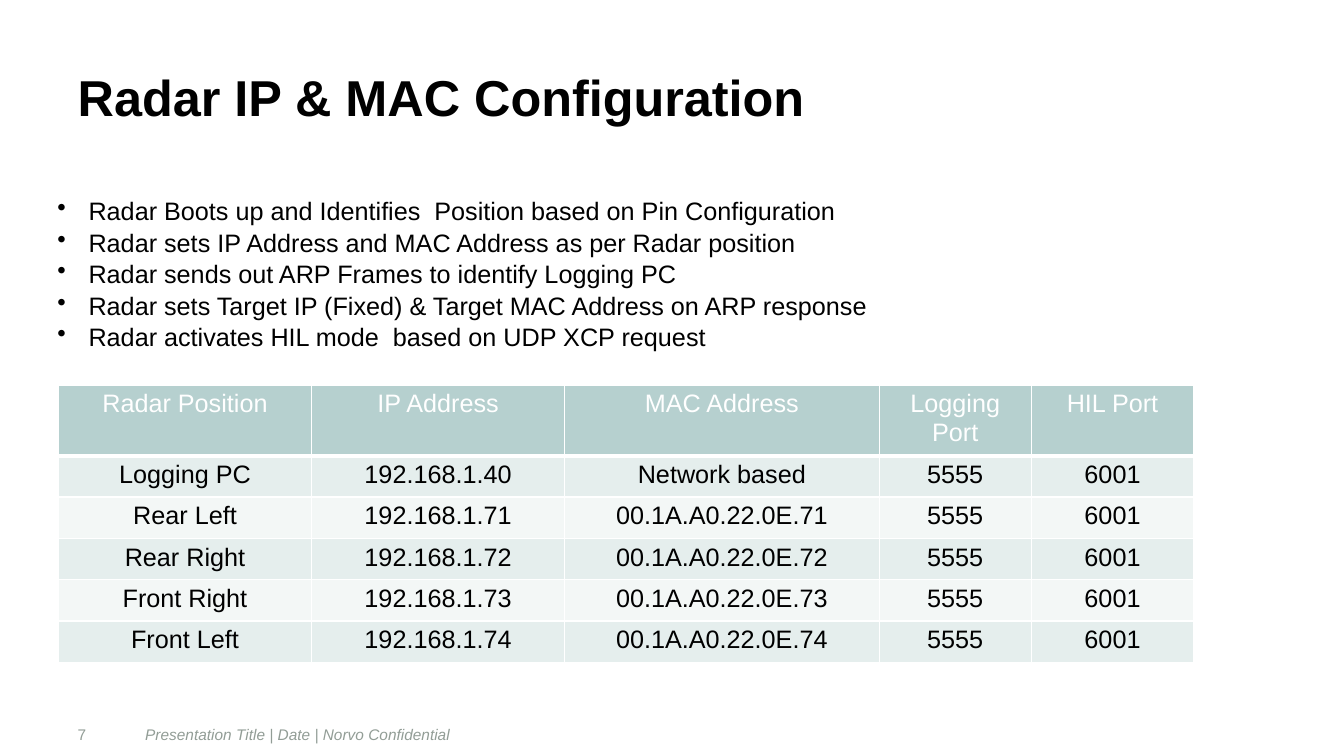
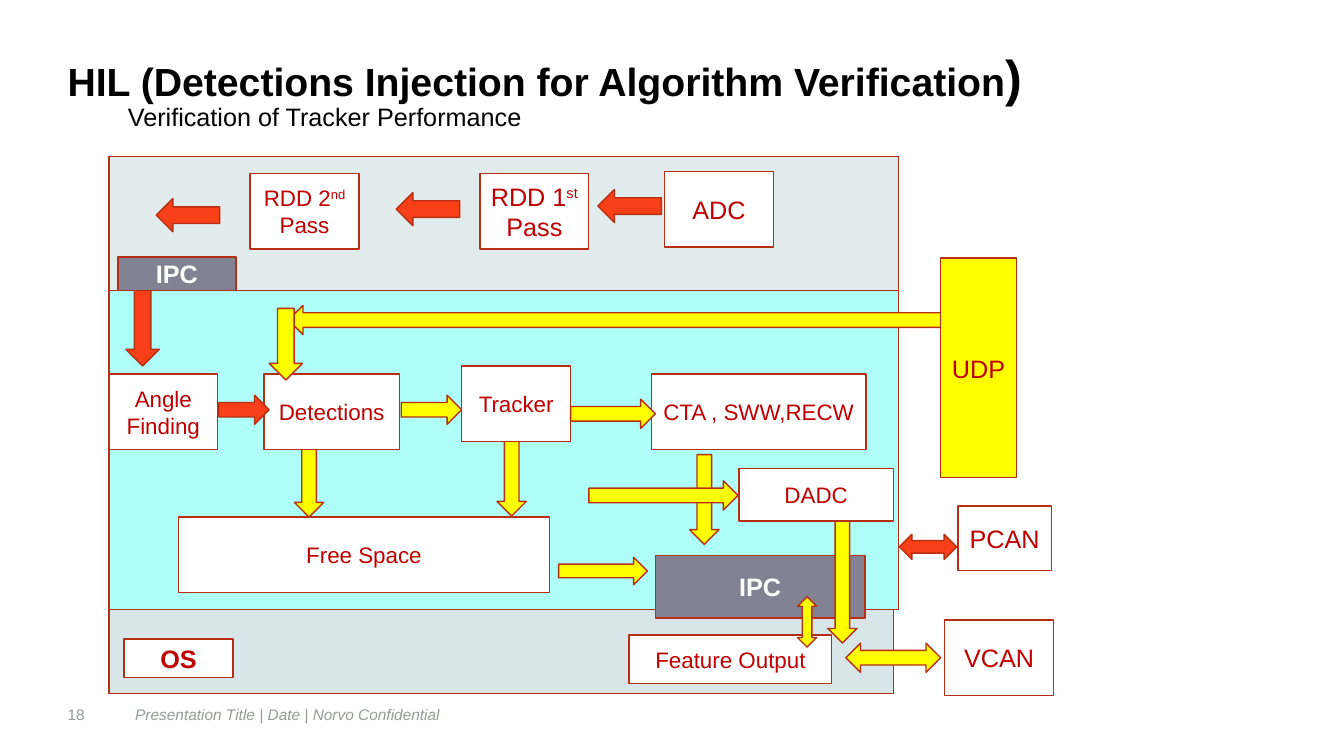
import pptx
import pptx.dml.color
import pptx.enum.shapes
import pptx.enum.text
import pptx.oxml
import pptx.oxml.ns
import pptx.util

SCALE = 9144
FONT = "Arial"
BLACK, WHITE, GREY = "000000", "FFFFFF", "929D96"
OUTLINE, LABEL = "B72F12", "C00000"
YELLOW, RED, SLATE = "FFFF00", "F74018", "828293"
HEADER_FILL, ROW_FILLS = "B6D0CF", ("E5EEED", "F3F7F6")
SHAPE = pptx.enum.shapes.MSO_SHAPE
ALIGN = pptx.enum.text.PP_ALIGN
ANCHOR = pptx.enum.text.MSO_ANCHOR


def px(*lengths):
    """Turn whole px into a list of EMU lengths."""
    return [pptx.util.Emu(length * SCALE) for length in lengths]


def colour(value):
    """Turn a hex string into a colour."""
    return pptx.dml.color.RGBColor.from_string(value)


def style(font, size, hue, bold=False, italic=False):
    """Format a font."""
    font.name, font.size = FONT, pptx.util.Pt(size)
    font.bold, font.italic = bold, italic
    font.color.rgb = colour(hue)


def set_margins(frame, left=0, top=0, right=0, bottom=0):
    """Set the four insets of a text frame."""
    frame.margin_left, frame.margin_top, frame.margin_right, frame.margin_bottom = px(left, top, right, bottom)


def add_text(page, area, text, size, hue, italic=False):
    """Add a wrapped text box with one or more paragraphs."""
    box = page.shapes.add_textbox(*px(*area))
    frame = box.text_frame
    frame.word_wrap = True
    frame.text = text
    for para in frame.paragraphs:
        for span in para.runs:
            style(span.font, size, hue, italic=italic)
    return box


def add_frame(deck, left, top, title_parts, number):
    """Add a slide with its title and footer hung from one corner."""
    page = deck.slides.add_slide(deck.slide_layouts[5])
    title = page.shapes.title
    title.left, title.top, title.width, title.height = px(left, top, 1200, 101)
    frame = title.text_frame
    set_margins(frame, top=4)
    frame.word_wrap = True
    frame.vertical_anchor = ANCHOR.TOP
    frame.auto_size = pptx.enum.text.MSO_AUTO_SIZE.NONE
    para = frame.paragraphs[0]
    para.alignment = ALIGN.LEFT
    for text, size in title_parts:
        span = para.add_run()
        span.text = text
        style(span.font, size, BLACK, bold=True)
    footers = (
        (67, 382, "Presentation Title | Date | Norvo Confidential", True),
        (0, 68, number, False),
    )
    for offset, width, text, italic in footers:
        box = add_text(page, (left + offset, top + 650, width, 33), text, 11, GREY, italic)
        set_margins(box.text_frame)
        box.text_frame.vertical_anchor = ANCHOR.MIDDLE
    return page


def add_bullets(page, area, lines):
    """Add a bulleted list."""
    box = add_text(page, area, "\n".join(lines), 18, BLACK)
    for para in box.text_frame.paragraphs:
        para.line_spacing = 1.04
        properties = para._p.get_or_add_pPr()
        properties.set("marL", str(31 * SCALE))
        properties.set("indent", str(-31 * SCALE))
        bullet = pptx.oxml.parse_xml(
            f'<a:buChar {pptx.oxml.ns.nsdecls("a")} char="•"/>')
        properties.append(bullet)


def add_borders(cell, bottom):
    """Draw white borders round a cell."""
    properties = cell._tc.get_or_add_tcPr()
    sides = (("L", 1), ("R", 1), ("T", 1), ("B", bottom))
    for place, (side, points) in enumerate(sides):
        properties.insert(place, pptx.oxml.parse_xml(
            f'<a:ln{side} {pptx.oxml.ns.nsdecls("a")} w="{points * 12700}">'
            f'<a:solidFill><a:srgbClr val="{WHITE}"/></a:solidFill></a:ln{side}>'))


def add_address_table(page, left, top, widths, rows):
    """Add the banded address table."""
    heights = [65] + [41] * (len(rows) - 1)
    area = px(left, top, sum(widths), sum(heights))
    table = page.shapes.add_table(len(rows), len(widths), *area).table
    for column, width in zip(table.columns, px(*widths)):
        column.width = width
    for index, (row, height, texts) in enumerate(zip(table.rows, px(*heights), rows)):
        row.height = height
        header = index == 0
        for cell, text in zip(row.cells, texts):
            cell.text = text
            para = cell.text_frame.paragraphs[0]
            para.alignment = ALIGN.CENTER
            style(para.runs[0].font, 18, WHITE if header else BLACK)
            cell.fill.solid()
            cell.fill.fore_color.rgb = colour(HEADER_FILL if header else ROW_FILLS[(index - 1) % 2])
            add_borders(cell, 3 if header else 1)


def add_outlined(page, kind, area, fill):
    """Add a filled preset shape with the shared outline."""
    shape = page.shapes.add_shape(kind, *px(*area))
    shape.shadow.inherit = False
    shape.fill.solid()
    shape.fill.fore_color.rgb = colour(fill)
    shape.line.color.rgb = colour(OUTLINE)
    shape.line.width = pptx.util.Pt(1)
    return shape


def add_block(page, area, label, size, fill=WHITE, hue=LABEL, bold=False):
    """Add a labelled block; text between carets is raised."""
    frame = add_outlined(page, SHAPE.RECTANGLE, area, fill).text_frame
    frame.word_wrap = True
    frame.vertical_anchor = ANCHOR.MIDDLE
    para = frame.paragraphs[0]
    para.alignment = ALIGN.CENTER
    for index, text in enumerate(label.split("^")):
        span = para.add_run()
        span.text = text
        style(span.font, size, hue, bold)
        if index % 2:
            span.font._element.set("baseline", "30000")


def add_region(page, left, top, parts):
    """Place blocks and arrows relative to a region's corner."""
    for part, (x, y, width, height), *details in parts:
        area = (left + x, top + y, width, height)
        if isinstance(part, str):
            add_block(page, area, part, *details)
        else:
            add_outlined(page, part, area, *details)


def build_configuration(deck):
    """Build the address configuration slide."""
    page = add_frame(deck, 77, 62, [("Radar IP & MAC Configuration", 36)], "7")
    rows = [
        ("Radar Position", "IP Address", "MAC Address", "Logging Port", "HIL Port"),
        ("Logging PC", "192.168.1.40", "Network based", "5555", "6001"),
    ]
    for number, position in enumerate(("Rear Left", "Rear Right", "Front Right", "Front Left"), 71):
        rows.append((position, f"192.168.1.{number}", f"00.1A.A0.22.0E.{number}", "5555", "6001"))
    add_address_table(page, 58, 382, (251, 251, 312, 151, 161), rows)
    add_bullets(page, (47, 188, 838, 162), (
        "Radar Boots up and Identifies  Position based on Pin Configuration",
        "Radar sets IP Address and MAC Address as per Radar position",
        "Radar sends out ARP Frames to identify Logging PC",
        "Radar sets Target IP (Fixed) & Target MAC Address on ARP response",
        "Radar activates HIL mode  based on UDP XCP request",
    ))


def build_injection(deck):
    """Build the detections injection diagram slide."""
    title_parts = [("HIL (Detections Injection for Algorithm Verification", 28), (")", 36)]
    page = add_frame(deck, 67, 42, title_parts, "18")
    add_text(page, (117, 96, 742, 40), "Verification of Tracker Performance", 18, BLACK)
    left, signal_top, tracking_top, system_top = 108, 155, 288, 588
    bands = (
        (system_top, 778, 100, "D9E6E9"),
        (signal_top, 783, 133, "E2ECEC"),
        (tracking_top, 783, 317, "AEFFF9"),
    )
    for top, width, height, fill in bands:
        add_outlined(page, SHAPE.RECTANGLE, (left, top, width, height), fill)
    right, down, back = SHAPE.RIGHT_ARROW, SHAPE.DOWN_ARROW, SHAPE.LEFT_ARROW
    both, upright = SHAPE.LEFT_RIGHT_ARROW, SHAPE.UP_DOWN_ARROW
    add_region(page, left, system_top, (
        ("OS", (15, 46, 108, 38), 18, WHITE, LABEL, True),
        ("Feature Output", (516, 42, 201, 48), 16),
    ))
    add_region(page, left, signal_top, (
        ("ADC", (551, 15, 108, 75), 18),
        (back, (485, 33, 63, 33), RED),
        ("RDD 1^st ^Pass", (368, 17, 108, 75), 18),
        (back, (285, 36, 63, 33), RED),
        ("RDD 2^nd^ Pass", (140, 17, 108, 75), 16),
        (back, (47, 42, 63, 33), RED),
        (down, (17, 116, 33, 92), RED),
        ("IPC", (9, 100, 117, 33), 18, SLATE, WHITE, True),
    ))
    add_region(page, left, tracking_top, (
        ("Angle Finding", (0, 83, 108, 75), 16),
        ("Free Space", (69, 225, 368, 75), 16),
        (down, (385, 147, 29, 77), YELLOW),
        ("IPC", (542, 263, 208, 62), 18, SLATE, WHITE, True),
        (right, (446, 265, 88, 27), YELLOW),
        (down, (184, 148, 29, 77), YELLOW),
        ("CTA , SWW,RECW", (538, 83, 213, 75), 16),
        (right, (290, 104, 60, 29), YELLOW),
        ("Detections", (154, 83, 134, 75), 16),
        ("Tracker", (350, 75, 108, 75), 16),
        (back, (178, 15, 648, 29), YELLOW),
        (down, (159, 18, 33, 71), YELLOW),
        (down, (576, 163, 29, 89), YELLOW),
        (right, (458, 108, 84, 29), YELLOW),
        (right, (109, 104, 50, 29), RED),
        ("DADC", (625, 177, 153, 52), 16),
        (right, (476, 189, 148, 29), YELLOW),
        (down, (713, 229, 29, 121), YELLOW),
    ))
    add_region(page, 891, 256, (
        ("UDP", (42, 0, 75, 218), 18, YELLOW),
        (upright, (-100, 336, 19, 50), YELLOW),
        (both, (-52, 382, 94, 29), YELLOW),
        ("VCAN", (46, 359, 108, 75), 18),
        (both, (1, 274, 57, 25), RED),
        ("PCAN", (59, 246, 93, 64), 18),
    ))


def main():
    """Build and save the deck."""
    deck = pptx.Presentation()
    deck.slide_width, deck.slide_height = px(1333, 750)
    build_configuration(deck)
    build_injection(deck)
    deck.save("out.pptx")


if __name__ == "__main__":
    main()
